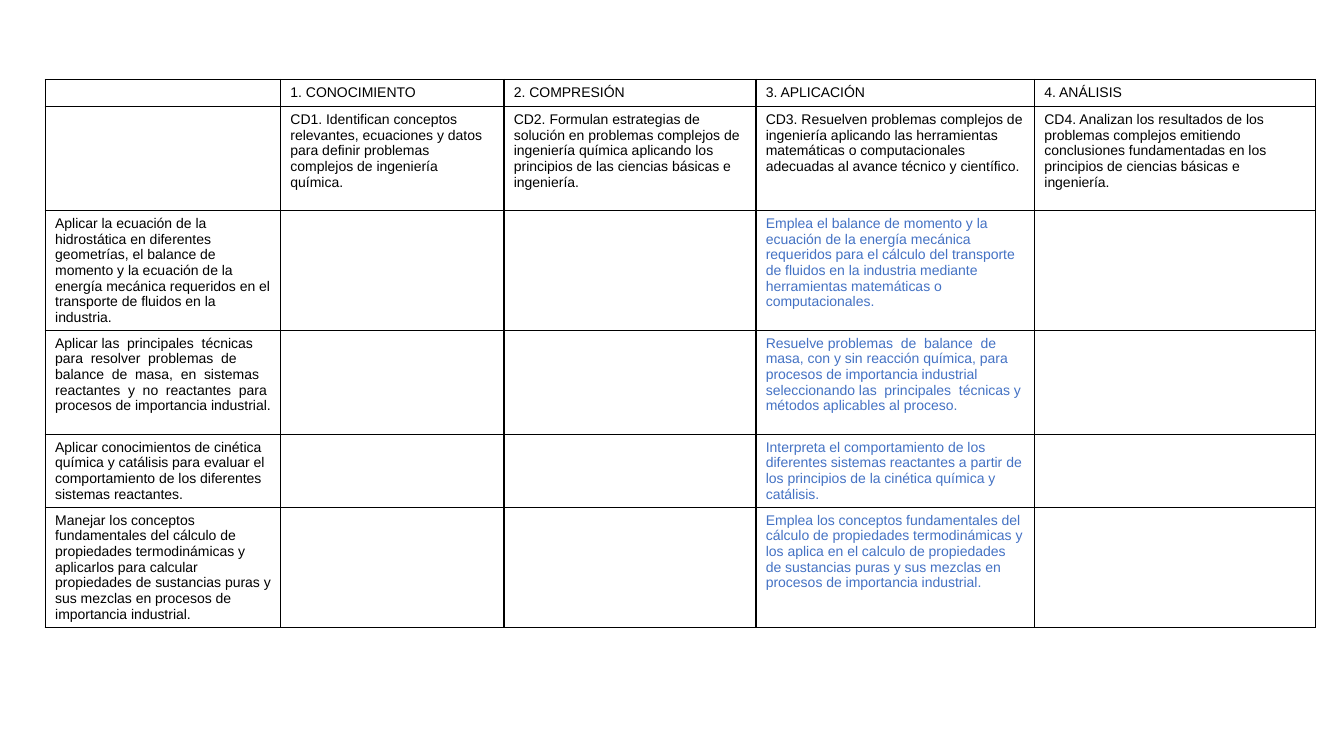
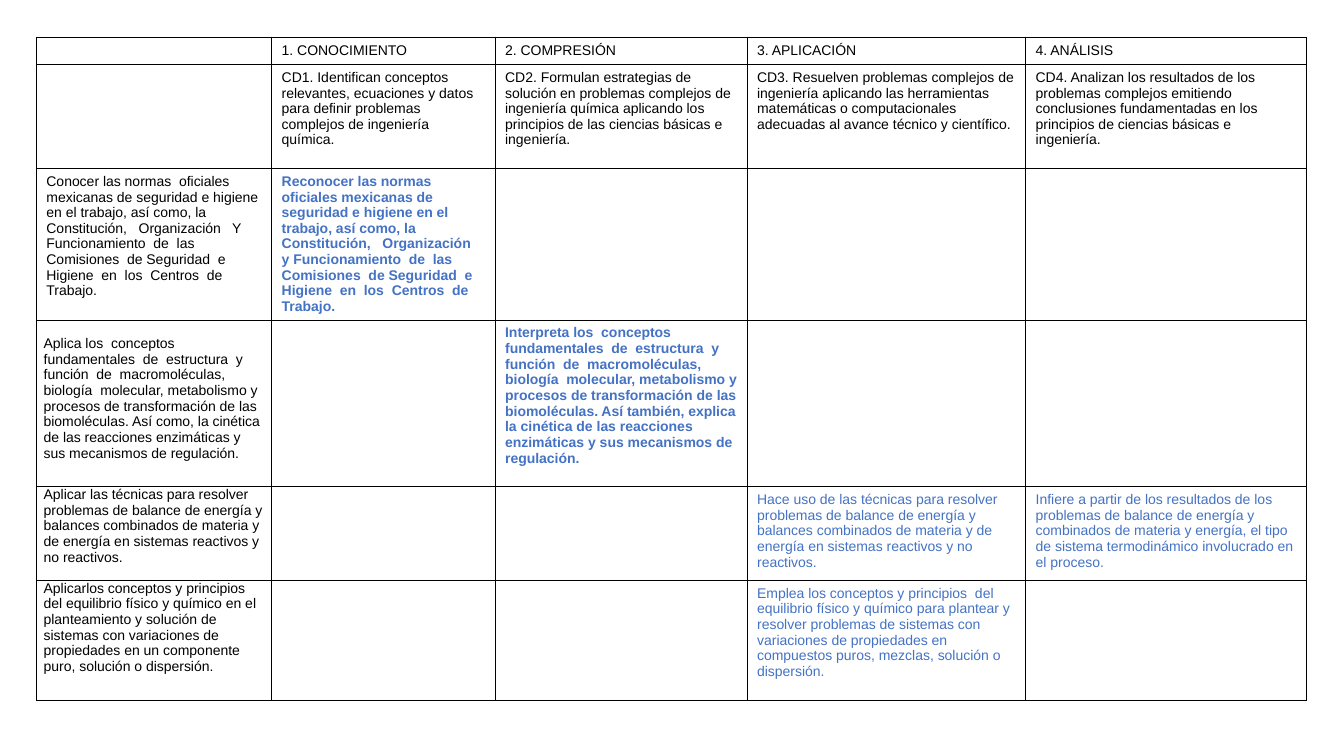
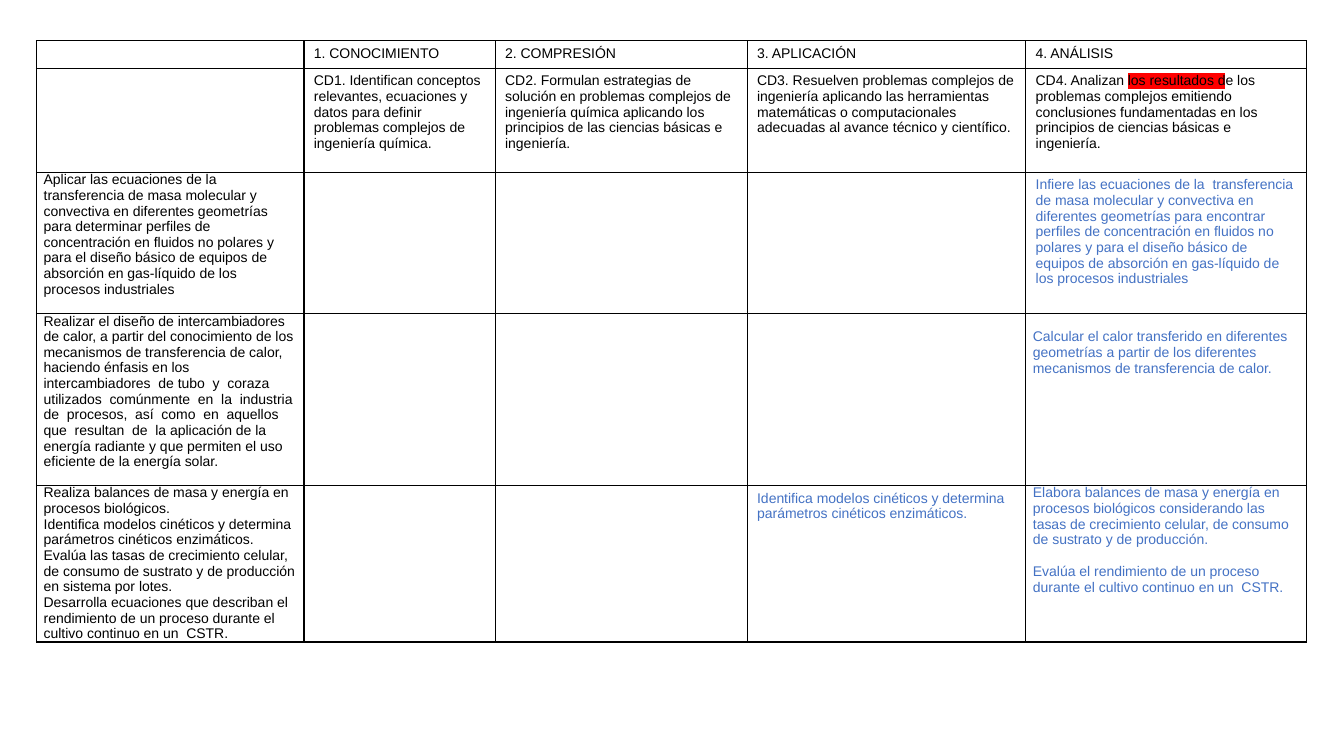
from dataclasses import dataclass
from typing import Optional

import lxml.etree
import pptx
import pptx.dml.color
import pptx.enum.text
import pptx.oxml.ns
import pptx.util

Cm = pptx.util.Cm
Pt = pptx.util.Pt
qn = pptx.oxml.ns.qn

# Shared look
COLORS = {"text": "000000", "outcome": "4472C4", "border": "000000", "mark": "FF0000"}
FONT_FORMAT = {"name": "Arial", "size": Pt(10)}
BORDER_WIDTH = Pt(1)
LINE_HEIGHT = 0.4  # cm, one line of table text


@dataclass(frozen=True)
class Entry:
    """Text of one cell; insets in cm, paragraph gap in points."""
    paragraphs: tuple[str, ...]
    color: str = "text"
    bold: bool = False
    side: float = 0.25
    top: float = 0.13
    bottom: float = 0.13
    gap: float = 0
    marked: str = ""


@dataclass(frozen=True)
class Matrix:
    """One table: place, column widths and row heights in cm."""
    left: float
    top: float
    widths: tuple[float, ...]
    heights: tuple[float, ...]
    rows: tuple[dict[int, Entry], ...]
    marked: str = ""


def plain(text: str) -> Entry:
    return Entry((text,))


def outcome(text: str, bold: bool = False) -> Entry:
    return Entry((text,), "outcome", bold)


def compact(*paragraphs: str, color: str = "text", top: float = 0, gap: float = 0) -> Entry:
    return Entry(paragraphs, color, side=0.18, top=top, bottom=0, gap=gap)


# Rows that head every table
LEVELS = ("1. CONOCIMIENTO", "2. COMPRESIÓN", "3. APLICACIÓN", "4. ANÁLISIS")
CRITERIA = (
    "CD1. Identifican conceptos relevantes, ecuaciones y datos para definir problemas "
    "complejos de ingeniería química.",
    "CD2. Formulan estrategias de solución en problemas complejos de ingeniería química "
    "aplicando los principios de las ciencias básicas e ingeniería.",
    "CD3. Resuelven problemas complejos de ingeniería aplicando las herramientas "
    "matemáticas o computacionales adecuadas al avance técnico y científico.",
    "CD4. Analizan los resultados de los problemas complejos emitiendo conclusiones "
    "fundamentadas en los principios de ciencias básicas e ingeniería.",
)
HEAD_HEIGHTS = (0.65, 2.62)
WIDTHS = (5.93, 5.63, 6.35, 7.02, 7.08)

MATRICES = (
    Matrix(1.14, 2, WIDTHS, (3, 2.62, 1.84, 3), (
        {0: plain("Aplicar la ecuación de la hidrostática en diferentes geometrías, el balance "
                  "de momento y la ecuación de la energía mecánica requeridos en el transporte "
                  "de fluidos en la industria."),
         3: outcome("Emplea el balance de momento y la ecuación de la energía mecánica requeridos "
                    "para el cálculo del transporte de fluidos en la industria mediante "
                    "herramientas matemáticas o computacionales.")},
        {0: plain("Aplicar las  principales  técnicas  para  resolver  problemas  de  balance  de  "
                  "masa,  en  sistemas  reactantes  y  no  reactantes  para procesos de "
                  "importancia industrial."),
         3: outcome("Resuelve problemas  de  balance  de  masa, con y sin reacción química, para "
                    "procesos de importancia industrial seleccionando las  principales  técnicas "
                    "y métodos aplicables al proceso.")},
        {0: plain("Aplicar conocimientos de cinética química y catálisis para evaluar el "
                  "comportamiento de los diferentes sistemas reactantes."),
         3: outcome("Interpreta el comportamiento de los diferentes sistemas reactantes a partir "
                    "de los principios de la cinética química y catálisis.")},
        {0: plain("Manejar los conceptos fundamentales del cálculo de propiedades termodinámicas "
                  "y aplicarlos para calcular propiedades de sustancias puras y sus mezclas en "
                  "procesos de importancia industrial."),
         3: outcome("Emplea los conceptos fundamentales del cálculo de propiedades termodinámicas "
                    "y los aplica en el calculo de propiedades de sustancias puras y sus mezclas "
                    "en procesos de importancia industrial.")},
    )),
    Matrix(0.92, 0.94, WIDTHS, (3.82, 4.2, 2.36, 3.02), (
        {0: plain("Conocer las normas  oficiales mexicanas de seguridad e higiene en el trabajo, "
                  "así como, la Constitución,   Organización   Y Funcionamiento  de  las  "
                  "Comisiones  de Seguridad  e  Higiene  en  los  Centros  de Trabajo."),
         1: outcome("Reconocer las normas  oficiales mexicanas de seguridad e higiene en el "
                    "trabajo, así como, la Constitución,   Organización   y Funcionamiento  de  "
                    "las  Comisiones  de Seguridad  e  Higiene  en  los  Centros  de Trabajo.",
                    bold=True)},
        {0: compact("Aplica los  conceptos  fundamentales  de  estructura  y  función  de  "
                    "macromoléculas,  biología  molecular, metabolismo y procesos de "
                    "transformación de las biomoléculas. Así como, la cinética de las reacciones "
                    "enzimáticas y sus mecanismos de regulación.", top=LINE_HEIGHT),
         2: outcome("Interpreta los  conceptos  fundamentales  de  estructura  y  función  de  "
                    "macromoléculas,  biología  molecular, metabolismo y procesos de "
                    "transformación de las biomoléculas. Así también, explica la cinética de las "
                    "reacciones enzimáticas y sus mecanismos de regulación.", bold=True)},
        {0: compact("Aplicar las técnicas para resolver problemas de balance de energía y "
                    "balances combinados de materia y de energía en sistemas reactivos y no "
                    "reactivos."),
         3: outcome("Hace uso de las técnicas para resolver problemas de balance de energía y "
                    "balances combinados de materia y de energía en sistemas reactivos y no "
                    "reactivos."),
         4: outcome("Infiere a partir de los resultados de los problemas de balance de energía y "
                    "combinados de materia y energía, el tipo de sistema termodinámico "
                    "involucrado en el proceso.")},
        {0: compact("Aplicarlos conceptos y principios  del equilibrio físico y químico en el "
                    "planteamiento y solución de sistemas con variaciones de propiedades en un "
                    "componente puro, solución o dispersión."),
         3: outcome("Emplea los conceptos y principios  del equilibrio físico y químico para "
                    "plantear y resolver problemas de sistemas con variaciones de propiedades en "
                    "compuestos puros, mezclas, solución o dispersión.")},
    )),
    Matrix(0.92, 1.03, (6.74, 4.82) + WIDTHS[2:], (3.56, 4.33, 3.95), (
        {0: compact("Aplicar las ecuaciones de la  transferencia de masa molecular y convectiva "
                    "en diferentes geometrías para determinar perfiles de concentración en "
                    "fluidos no polares y para el diseño básico de equipos de absorción en "
                    "gas-líquido de los procesos industriales"),
         4: outcome("Infiere las ecuaciones de la  transferencia de masa molecular y convectiva "
                    "en diferentes geometrías para encontrar perfiles de concentración en "
                    "fluidos no polares y para el diseño básico de equipos de absorción en "
                    "gas-líquido de los procesos industriales")},
        {0: compact("Realizar el diseño de intercambiadores de calor, a partir del conocimiento "
                    "de los mecanismos de transferencia de calor, haciendo énfasis en los  "
                    "intercambiadores  de tubo  y  coraza  utilizados  comúnmente  en  la  "
                    "industria  de  procesos,  así  como  en  aquellos  que  resultan  de  la "
                    "aplicación de la energía radiante y que permiten el uso eficiente de la "
                    "energía solar."),
         4: compact("Calcular el calor transferido en diferentes geometrías a partir de los "
                    "diferentes mecanismos de transferencia de calor.",
                    color="outcome", top=LINE_HEIGHT)},
        {0: compact("Realiza balances de masa y energía en procesos biológicos.",
                    "Identifica modelos cinéticos y determina parámetros cinéticos enzimáticos.",
                    "Evalúa las tasas de crecimiento celular, de consumo de sustrato y de "
                    "producción en sistema por lotes.",
                    "Desarrolla ecuaciones que describan el rendimiento de un proceso durante el "
                    "cultivo continuo en un  CSTR."),
         3: outcome("Identifica modelos cinéticos y determina parámetros cinéticos enzimáticos."),
         4: compact("Elabora balances de masa y energía en procesos biológicos considerando las "
                    "tasas de crecimiento celular, de consumo de sustrato y de producción.",
                    "Evalúa el rendimiento de un proceso durante el cultivo continuo en un  CSTR.",
                    color="outcome", gap=11.5)},
    ), marked="los resultados d"),
)


def head_rows(marked: str) -> tuple[dict[int, Entry], ...]:
    levels = {column: plain(text) for column, text in enumerate(LEVELS, 1)}
    criteria = {column: Entry((text,), marked=marked) for column, text in enumerate(CRITERIA, 1)}
    return levels, criteria


def add_color(parent, color: str) -> None:
    lxml.etree.SubElement(parent, qn("a:srgbClr"), val=COLORS[color])


def draw_borders(cell) -> None:
    properties = cell._tc.get_or_add_tcPr()
    for side in ("a:lnL", "a:lnR", "a:lnT", "a:lnB"):
        line = lxml.etree.SubElement(properties, qn(side), w=str(int(BORDER_WIDTH)))
        add_color(lxml.etree.SubElement(line, qn("a:solidFill")), "border")


def add_run(paragraph, text: str, entry: Entry, highlighted: bool) -> None:
    run = paragraph.add_run()
    run.text = text
    for name, value in {**FONT_FORMAT, "bold": entry.bold}.items():
        setattr(run.font, name, value)
    run.font.color.rgb = pptx.dml.color.RGBColor.from_string(COLORS[entry.color])
    if highlighted:
        highlight = lxml.etree.Element(qn("a:highlight"))
        add_color(highlight, "mark")
        run._r.rPr.find(qn("a:solidFill")).addnext(highlight)


def write_entry(cell, entry: Entry) -> None:
    frame = cell.text_frame
    for index, text in enumerate(entry.paragraphs):
        paragraph = frame.add_paragraph() if index else frame.paragraphs[0]
        if index:
            paragraph.space_before = Pt(entry.gap)
        pieces = text.partition(entry.marked) if entry.marked else (text,)
        for piece in filter(None, pieces):
            add_run(paragraph, piece, entry, piece == entry.marked)


def draw_cell(cell, entry: Optional[Entry]) -> None:
    draw_borders(cell)
    cell.fill.background()
    shown = entry or Entry(())
    cell_format = {
        "margin_left": Cm(shown.side), "margin_right": Cm(shown.side),
        "margin_top": Cm(shown.top), "margin_bottom": Cm(shown.bottom),
        "vertical_anchor": pptx.enum.text.MSO_ANCHOR.TOP,
    }
    for name, value in cell_format.items():
        setattr(cell, name, value)
    if entry:
        write_entry(cell, entry)
    else:
        # An empty cell keeps the small text size so that it does not stretch its row
        size = str(int(FONT_FORMAT["size"].pt * 100))
        lxml.etree.SubElement(cell.text_frame.paragraphs[0]._p, qn("a:endParaRPr"), sz=size)


def draw_matrix(slide, matrix: Matrix) -> None:
    rows = head_rows(matrix.marked) + matrix.rows
    heights = HEAD_HEIGHTS + matrix.heights
    shape = slide.shapes.add_table(
        len(rows), len(matrix.widths), Cm(matrix.left), Cm(matrix.top),
        Cm(sum(matrix.widths)), Cm(sum(heights)))
    table = shape.table
    table.first_row = table.horz_banding = False
    for column, width in zip(table.columns, matrix.widths):
        column.width = Cm(width)
    for row, height, entries in zip(table.rows, heights, rows):
        row.height = Cm(height)
        for index, cell in enumerate(row.cells):
            draw_cell(cell, entries.get(index))


def main() -> None:
    presentation = pptx.Presentation()
    presentation.slide_width, presentation.slide_height = Cm(33.87), Cm(19.05)
    blank_layout = presentation.slide_layouts[6]
    for matrix in MATRICES:
        draw_matrix(presentation.slides.add_slide(blank_layout), matrix)
    presentation.save("out.pptx")


if __name__ == "__main__":
    main()
